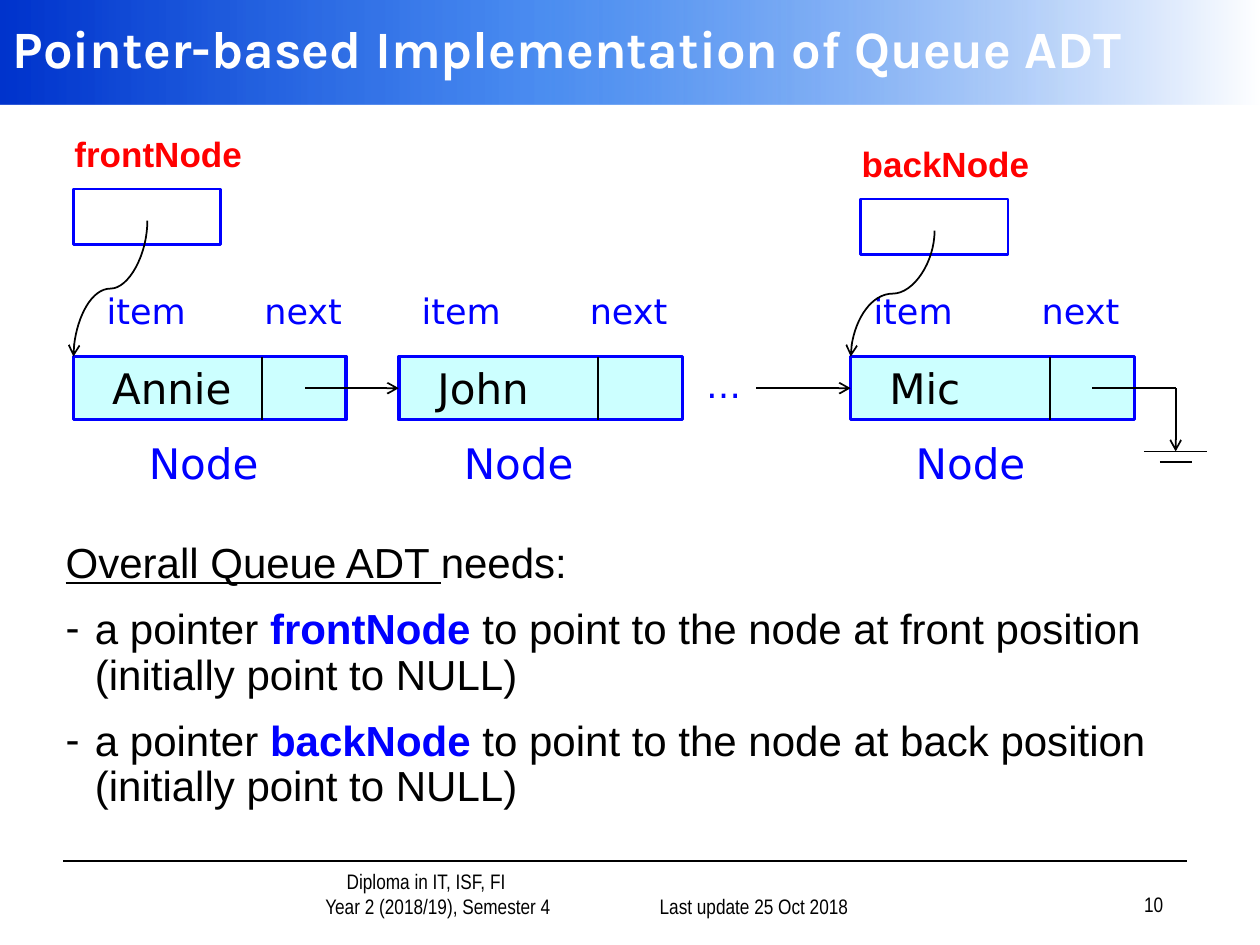
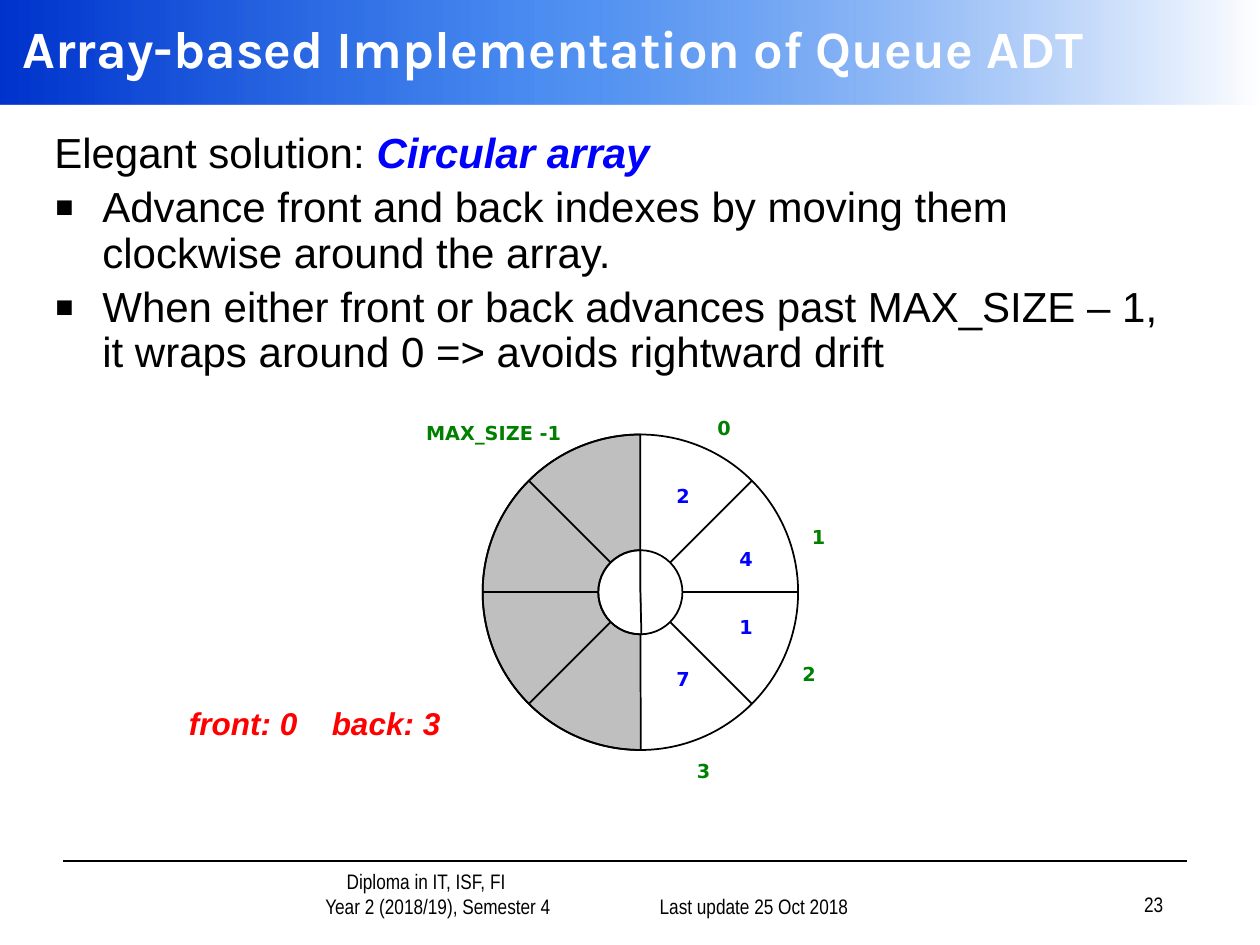
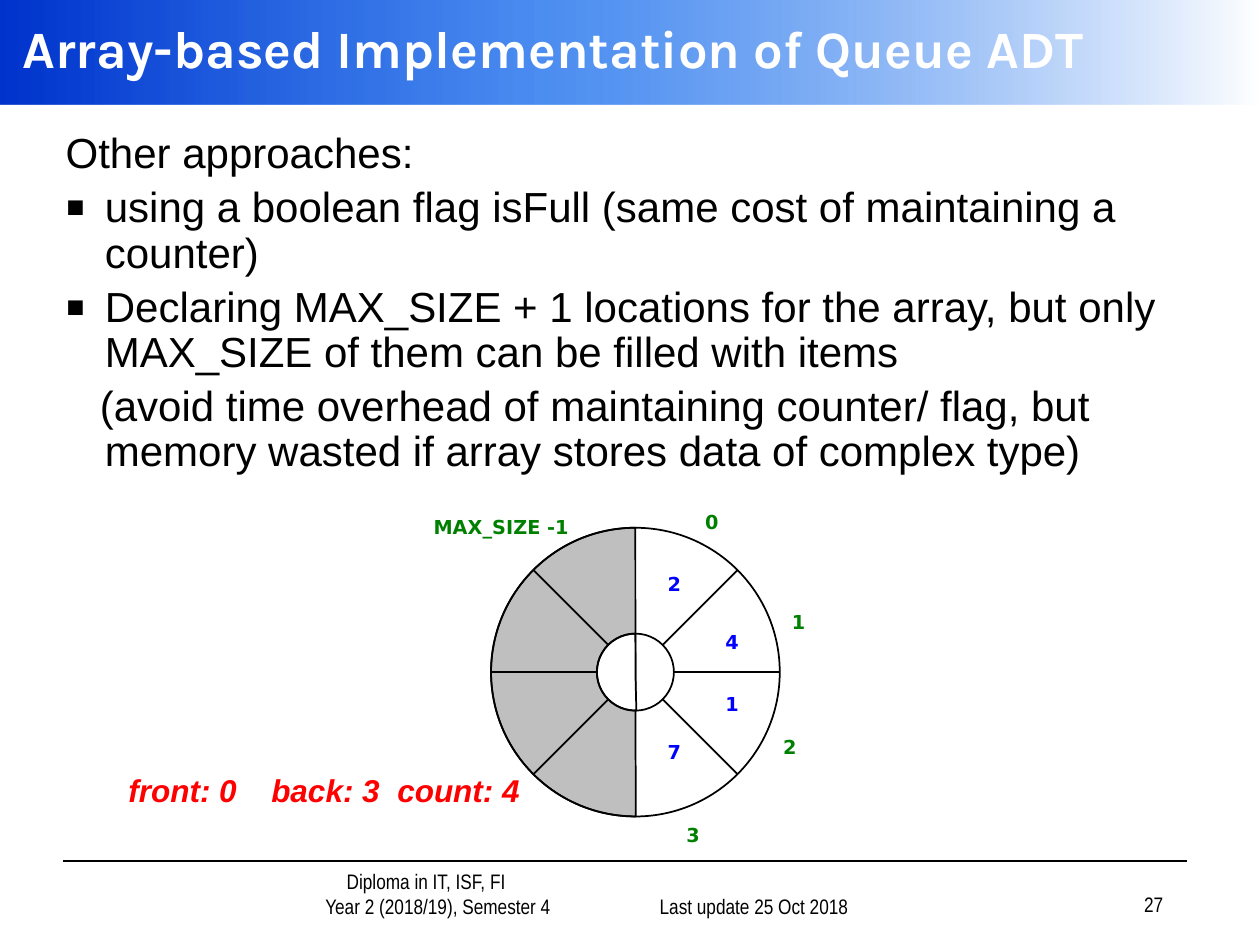
import math

import pptx
import pptx.dml.color
import pptx.enum.shapes
import pptx.enum.text
import pptx.oxml
import pptx.oxml.ns
import pptx.util
from lxml import etree
from pptx.util import Cm

BLACK, WHITE, BLUE, RED = "000000", "FFFFFF", "0000FF", "FF0000"
GREEN, GREY, CYAN = "008000", "BFBFBF", "CCFFFF"
BAND_STOPS = [(0, "0033CC", 100), (43, "005EEB", 70), (100, WHITE, 100)]
TITLE_FONT, BODY_FONT = "Karla", "Arial"
FOOTER_FONT, DIAGRAM_FONT = "Arial Narrow", "DejaVu Sans"

SHAPE = pptx.enum.shapes.MSO_SHAPE
CONNECTOR = pptx.enum.shapes.MSO_CONNECTOR
ALIGN = pptx.enum.text.PP_ALIGN
ANCHOR = pptx.enum.text.MSO_ANCHOR

NODE_TOP, NODE_HEIGHT = 7.19, 1.27
NODE_MIDDLE = NODE_TOP + NODE_HEIGHT / 2
LINK_CELL = 1.7
LABEL_HEIGHT = 1.12

SLOT_INDEXES = [("0", 0.53, -1.04), ("1", 1.13, -0.35), ("2", 1.07, 0.52),
                ("3", 0.4, 1.13), ("MAX_SIZE -1", -0.93, -1.01)]
SLOT_VALUES = [("2", 0.27, -0.61), ("4", 0.67, -0.21),
               ("1", 0.67, 0.22), ("7", 0.27, 0.55)]


def rgb(value):
    return pptx.dml.color.RGBColor.from_string(value)


def add_xml(parent, tag, **attributes):
    return etree.SubElement(parent, pptx.oxml.ns.qn(tag), attributes)


def style_run(run, size, font, color=BLACK, bold=False, italic=False, underline=False):
    run.font.size = pptx.util.Pt(size)
    run.font.name = font
    run.font.color.rgb = rgb(color)
    run.font.bold = bold
    run.font.italic = italic
    run.font.underline = underline


def place(shape, left, top, width, height):
    shape.left, shape.top = Cm(left), Cm(top)
    shape.width, shape.height = Cm(width), Cm(height)


def indent(paragraph, margin, first_line):
    properties = paragraph._p.get_or_add_pPr()
    properties.set("marL", str(Cm(margin)))
    properties.set("indent", str(Cm(first_line)))
    return properties


def write(shape, text, size, font, align=ALIGN.LEFT, anchor=ANCHOR.MIDDLE, **style):
    frame = shape.text_frame
    frame.word_wrap = True
    frame.vertical_anchor = anchor
    frame.text = text
    for paragraph in frame.paragraphs:
        paragraph.alignment = align
        for run in paragraph.runs:
            style_run(run, size, font, **style)


def add_label(slide, bounds, text, size, font, **options):
    label = slide.shapes.add_textbox(*map(Cm, bounds))
    write(label, text, size, font, **options)
    return label


def add_outline(slide, kind, bounds, line, width, fill=None):
    shape = slide.shapes.add_shape(kind, *map(Cm, bounds))
    shape.shadow.inherit = False
    shape.line.color.rgb = rgb(line)
    shape.line.width = pptx.util.Pt(width)
    if fill:
        shape.fill.solid()
        shape.fill.fore_color.rgb = rgb(fill)
    else:
        shape.fill.background()
    return shape


def add_line(slide, start, end, arrow=False, kind=CONNECTOR.STRAIGHT):
    line = slide.shapes.add_connector(kind, *map(Cm, (*start, *end)))
    line.line.color.rgb = rgb(BLACK)
    line.line.width = pptx.util.Pt(1)
    properties = line.element.spPr
    if arrow:
        add_xml(properties.find(pptx.oxml.ns.qn("a:ln")), "a:tailEnd", type="arrow")
    add_xml(properties, "a:effectLst")
    return line


def add_falling_curve(slide, start, end):
    center_x, center_y = (start[0] + end[0]) / 2, (start[1] + end[1]) / 2
    half_drop, half_shift = (end[1] - start[1]) / 2, (start[0] - end[0]) / 2
    curve = add_line(slide, (center_x - half_drop, center_y - half_shift),
                     (center_x + half_drop, center_y + half_shift),
                     arrow=True, kind=CONNECTOR.CURVE)
    curve.element.spPr.xfrm.set("rot", str(90 * 60000))


def add_band(slide):
    band = slide.shapes.add_shape(SHAPE.RECTANGLE, 0, 0, Cm(25.4), Cm(2.11))
    band.shadow.inherit = False
    band.line.fill.background()
    gradient = pptx.oxml.parse_xml(
        f'<a:gradFill {pptx.oxml.ns.nsdecls("a")} rotWithShape="1"><a:gsLst/>'
        '<a:lin ang="0" scaled="1"/></a:gradFill>')
    for position, color, opacity in BAND_STOPS:
        stop = add_xml(gradient[0], "a:gs", pos=str(position * 1000))
        tint = add_xml(stop, "a:srgbClr", val=color)
        if opacity < 100:
            add_xml(tint, "a:alpha", val=str(opacity * 1000))
    band.element.spPr.find(pptx.oxml.ns.qn("a:prstGeom")).addnext(gradient)
    slide.shapes.title.element.addprevious(band.element)


def add_footer(slide, number):
    course = add_label(slide, (4.27, 17.58, 7.37, 1.07),
                       "Diploma in IT, ISF, FI\nYear 2 (2018/19), Semester 4",
                       12, FOOTER_FONT, align=ALIGN.CENTER, anchor=ANCHOR.BOTTOM)
    for paragraph, margin in zip(course.text_frame.paragraphs, (1.27, 1.75)):
        indent(paragraph, margin, 0)
    for left, top, text in ((12.07, 17.58, "Last update 25 Oct 2018"),
                            (18.42, 17.53, str(number))):
        add_label(slide, (left, top, 5.28, 1.07), text, 12, FOOTER_FONT,
                  align=ALIGN.RIGHT, anchor=ANCHOR.BOTTOM)
    add_line(slide, (1.27, 17.35), (23.93, 17.35))


def add_lecture_slide(deck, title, title_left, number):
    slide = deck.slides.add_slide(deck.slide_layouts[1])
    heading = slide.shapes.title
    place(heading, title_left, 0, 27.31, 1.9)
    write(heading, title, 30, TITLE_FONT, color=WHITE, bold=True)
    add_band(slide)
    add_footer(slide, number)
    return slide


def add_bullet(properties, symbol):
    if not symbol:
        add_xml(properties, "a:buNone")
        return
    if symbol == "▪":
        add_xml(add_xml(properties, "a:buClr"), "a:srgbClr", val=BLACK)
        add_xml(properties, "a:buSzPct", val="140000")
    add_xml(properties, "a:buChar", char=symbol)


def fill_body(slide, bounds, gap, points):
    body = slide.placeholders[1]
    place(body, *bounds)
    frame = body.text_frame
    frame.auto_size = pptx.enum.text.MSO_AUTO_SIZE.NONE
    for index, (symbol, margin, first_line, parts) in enumerate(points):
        paragraph = frame.add_paragraph() if index else frame.paragraphs[0]
        paragraph.line_spacing = 0.9
        paragraph.space_before = pptx.util.Pt(gap if index else 0)
        add_bullet(indent(paragraph, margin, first_line), symbol)
        for text, style in parts:
            run = paragraph.add_run()
            run.text = text
            style_run(run, 24, BODY_FONT, **style)


def add_node(slide, left, width, item, label_shift):
    node = add_outline(slide, SHAPE.RECTANGLE, (left, NODE_TOP, width, NODE_HEIGHT),
                       BLUE, 2, CYAN)
    write(node, item, 24, DIAGRAM_FONT)
    node.text_frame.margin_left = Cm(0.78)
    divider = left + width - LINK_CELL
    add_line(slide, (divider, NODE_TOP), (divider, NODE_TOP + NODE_HEIGHT))
    for text, shift, top, size in (("item", label_shift, 5.72, 20),
                                   ("next", 3.6, 5.72, 20),
                                   ("Node", label_shift + 0.85, 8.69, 24)):
        add_label(slide, (left + shift, top, 3.4, LABEL_HEIGHT), text, size,
                  DIAGRAM_FONT, anchor=ANCHOR.TOP, color=BLUE)
    return node


def add_link(slide, start, node):
    link = add_line(slide, (start, NODE_MIDDLE),
                    (node.left / Cm(1), NODE_MIDDLE), arrow=True)
    link.end_connect(node, 1)


def add_pointer(slide, name, left, top, node):
    add_label(slide, (left - 0.41, top - 1.27, 4.24, LABEL_HEIGHT), name, 20, BODY_FONT,
              align=ALIGN.CENTER, color=RED, bold=True)
    add_outline(slide, SHAPE.RECTANGLE, (left, top, 2.97, 1.12), BLUE, 1.5)
    add_falling_curve(slide, (left + 1.49, top + 0.64), (node.left / Cm(1), NODE_TOP))


def add_null_ground(slide, start):
    ground_x, ground_y = 23.7, 9.1
    add_line(slide, (start, NODE_MIDDLE), (ground_x, NODE_MIDDLE))
    add_line(slide, (ground_x, NODE_MIDDLE), (ground_x, ground_y), arrow=True)
    for half_width, drop in ((0.64, 0), (0.32, 0.22)):
        add_line(slide, (ground_x - half_width, ground_y + drop),
                 (ground_x + half_width, ground_y + drop))


def add_linked_queue(slide):
    annie = add_node(slide, 1.48, 5.5, "Annie", 0.42)
    john = add_node(slide, 8.04, 5.72, "John", 0.21)
    mic = add_node(slide, 17.15, 5.72, "Mic", 0.21)
    add_link(slide, 6.15, john)
    add_link(slide, 15.24, mic)
    add_label(slide, (12.9, NODE_TOP, 3.38, LABEL_HEIGHT), "…", 20, DIAGRAM_FONT,
              align=ALIGN.CENTER, color=BLUE)
    add_null_ground(slide, 22.02)
    add_pointer(slide, "frontNode", 1.48, 3.81, annie)
    add_pointer(slide, "backNode", 17.35, 4.01, mic)


def add_circular_array(slide, center_x, center_y, radius):
    hub = radius * 4 / 15

    def square(half):
        return center_x - half, center_y - half, 2 * half, 2 * half

    def rim(distance, angle):
        return (center_x + distance * math.sin(angle),
                center_y - distance * math.cos(angle))

    for half, start_angle, fill in ((radius, 53.91, GREY), (hub, 53.12, WHITE)):
        free_half = add_outline(slide, SHAPE.PIE, square(half), BLACK, 1, fill)
        free_half.adjustments[0] = start_angle
        free_half.adjustments[1] = 162
        add_outline(slide, SHAPE.OVAL, square(half), BLACK, 1)
    for slot in range(8):
        angle = slot * math.pi / 4
        add_line(slide, rim(radius, angle), rim(hub, angle))
    for entries, color in ((SLOT_INDEXES, GREEN), (SLOT_VALUES, BLUE)):
        for text, across, down in entries:
            width = radius * (1.6 if len(text) > 1 else 0.8)
            add_label(slide, (center_x + across * radius - width / 2,
                              center_y + down * radius - 0.37, width, 0.74),
                      text, 11, DIAGRAM_FONT, align=ALIGN.CENTER, color=color, bold=True)


def add_status(slide, left, top, width, counters):
    status = add_label(slide, (left, top, width, 1), "\t".join(counters), 18, BODY_FONT,
                       color=RED, bold=True, italic=True)
    properties = status.text_frame.paragraphs[0]._p.get_or_add_pPr()
    stops = add_xml(properties, "a:tabLst")
    for position in (2.88, 5.42)[:len(counters) - 1]:
        add_xml(stops, "a:tab", pos=str(Cm(position)), algn="l")


def pointer_need(name, position):
    return ("-", 0.59, -0.59, [
        ("a pointer ", {}),
        (f"{name} ", {"color": BLUE, "bold": True}),
        (f"to point to the node at {position} position (initially point to NULL)", {})])


def main():
    deck = pptx.Presentation()
    deck.slide_width, deck.slide_height = Cm(25.4), Cm(19.05)

    pointer_slide = add_lecture_slide(
        deck, "Pointer-based Implementation of Queue ADT", 0, 10)
    fill_body(pointer_slide, (1.07, 10.8, 23.06, 5.08), 12, [
        (None, 0, 0, [("Overall Queue ADT ", {"underline": True}), ("needs:", {})]),
        pointer_need("frontNode", "front"),
        pointer_need("backNode", "back")])
    add_linked_queue(pointer_slide)

    array_title = "Array-based Implementation of Queue ADT"
    circular_slide = add_lecture_slide(deck, array_title, 0.2, 23)
    fill_body(circular_slide, (0.84, 2.54, 23.06, 4.88), 5, [
        (None, 0, 0, [("Elegant solution: ", {}),
                      ("Circular array", {"color": BLUE, "bold": True, "italic": True})]),
        ("▪", 0.97, -0.97, [("Advance front and back indexes by moving them "
                             "clockwise around the array.", {})]),
        ("▪", 0.97, -0.97, [("When either front or back advances past MAX_SIZE – 1, "
                             "it wraps around 0 => avoids rightward drift", {})])])
    add_circular_array(circular_slide, 12.91, 11.94, 3.18)
    add_status(circular_slide, 3.56, 14.07, 6, ["front: 0", "back: 3"])

    approaches_slide = add_lecture_slide(deck, array_title, 0.2, 27)
    fill_body(approaches_slide, (1.07, 2.54, 23.06, 4.88), 5, [
        (None, 0, 0, [("Other approaches:", {})]),
        ("▪", 0.79, -0.79, [("using a boolean flag isFull (same cost of maintaining "
                             "a counter)", {})]),
        ("▪", 0.79, -0.79, [("Declaring MAX_SIZE + 1 locations for the array, but only "
                             "MAX_SIZE of them can be filled with items", {})]),
        (None, 0.79, -0.1, [("(avoid time overhead of maintaining counter/ flag, but "
                             "memory wasted if array stores data of complex type)", {})])])
    add_circular_array(approaches_slide, 12.81, 13.55, 2.91)
    add_status(approaches_slide, 2.34, 15.42, 9.9, ["front: 0", "back: 3", "count: 4"])

    deck.save("out.pptx")


if __name__ == "__main__":
    main()
